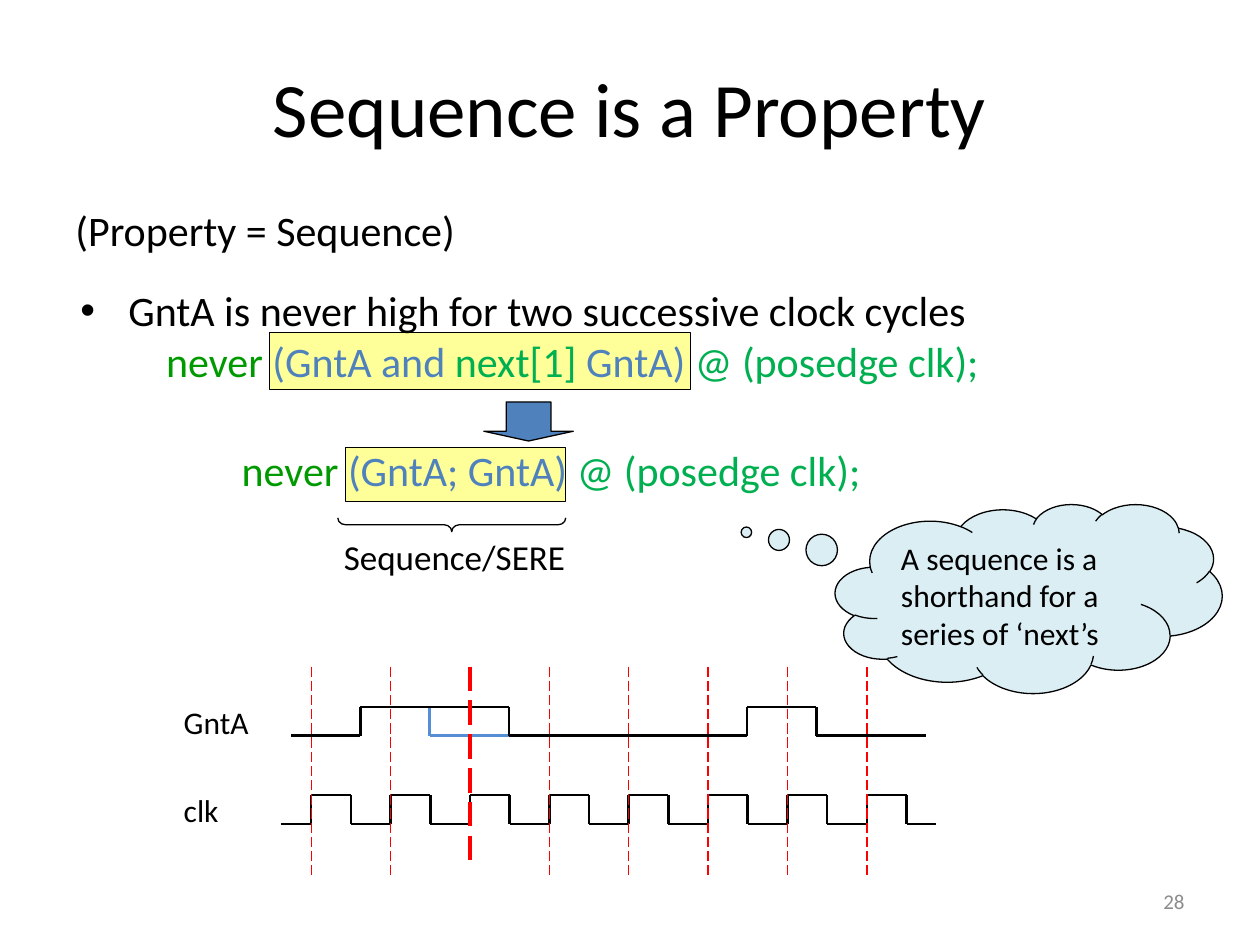
from typing import NamedTuple

from lxml import etree
from pptx import Presentation
from pptx.dml.color import RGBColor
from pptx.enum.dml import MSO_LINE
from pptx.enum.shapes import MSO_CONNECTOR, MSO_SHAPE
from pptx.enum.text import MSO_ANCHOR, PP_ALIGN
from pptx.oxml.ns import qn
from pptx.util import Inches, Pt

STRAIGHT = MSO_CONNECTOR.STRAIGHT
DASH = MSO_LINE.LONG_DASH
RECT, CLOUD = MSO_SHAPE.RECTANGLE, MSO_SHAPE.CLOUD_CALLOUT
ARROW, BRACE = MSO_SHAPE.DOWN_ARROW, MSO_SHAPE.RIGHT_BRACE
TOP, MIDDLE = MSO_ANCHOR.TOP, MSO_ANCHOR.MIDDLE
LEFT, CENTER, RIGHT = PP_ALIGN.LEFT, PP_ALIGN.CENTER, PP_ALIGN.RIGHT

FONT = "Calibri"
BLACK, RED, GRAY = "000000", "FF0000", "8C8C8C"
GREEN, LEAF = "009900", "00B050"
BLUE, SKY = "4F81BD", "558ED5"
YELLOW, PALE = "FFFF99", "DBEEF4"

TICK, STEP, COUNT, MARK = 2.47, 0.63, 8, 2


class Box(NamedTuple):
    x: float
    y: float
    w: float
    h: float


class Run(NamedTuple):
    text: str
    color: str = BLACK


class Para(NamedTuple):
    runs: list[Run]
    indent: float = 0
    before: float = 0
    bullet: bool = False


class Label(NamedTuple):
    box: Box
    text: str
    size: float
    color: str = BLACK
    align: PP_ALIGN = LEFT
    anchor: MSO_ANCHOR = TOP
    wrap: bool = True


def paint(color, code: str) -> None:
    color.rgb = RGBColor.from_string(code)


def write(frame, paras: list[Para], size: float, align=LEFT, anchor=TOP, wrap=True) -> None:
    frame.word_wrap = wrap
    frame.vertical_anchor = anchor
    for i, para in enumerate(paras):
        p = frame.paragraphs[0] if i == 0 else frame.add_paragraph()
        p.alignment = align
        p.space_before = Pt(para.before)
        props = p._p.get_or_add_pPr()
        props.set("marL", str(Inches(para.indent)))
        if para.bullet:
            props.set("indent", str(-Inches(para.indent)))
            etree.SubElement(props, qn("a:buFont")).set("typeface", "Arial")
            etree.SubElement(props, qn("a:buChar")).set("char", "•")
        for part in para.runs:
            run = p.add_run()
            run.text = part.text
            run.font.name, run.font.size = FONT, Pt(size)
            paint(run.font.color, part.color)


def add_text(slide, box: Box, paras: list[Para], size: float, **style) -> None:
    shape = slide.shapes.add_textbox(*map(Inches, box))
    write(shape.text_frame, paras, size, **style)


def add_label(slide, label: Label) -> None:
    add_text(slide, label.box, [Para([Run(label.text, label.color)])], label.size,
             align=label.align, anchor=label.anchor, wrap=label.wrap)


def add_shape(slide, kind, box: Box, fill: str = "", adjust=()):
    shape = slide.shapes.add_shape(kind, *map(Inches, box))
    shape.shadow.inherit = False
    for i, value in enumerate(adjust):
        shape.adjustments[i] = value
    if fill:
        shape.fill.solid()
        paint(shape.fill.fore_color, fill)
    else:
        shape.fill.background()
    paint(shape.line.color, BLACK)
    shape.line.width = Pt(0.75)
    return shape


def add_line(slide, start, end, color=BLACK, width=1.5, dash=None) -> None:
    line = slide.shapes.add_connector(STRAIGHT, *map(Inches, (*start, *end)))
    etree.SubElement(line._element.spPr, qn("a:effectLst"))
    paint(line.line.color, color)
    line.line.width = Pt(width)
    if dash:
        line.line.dash_style = dash


def add_wave(slide, points, color=BLACK) -> None:
    """Join successive points with straight segments."""
    for start, end in zip(points, points[1:]):
        add_line(slide, start, end, color)


def pulses(left, right, high, low, spans):
    """Return the corners of a signal that is high over each span."""
    points = [(left, low)]
    for rise, fall in spans:
        points += [(rise, low), (rise, high), (fall, high), (fall, low)]
    return points + [(right, low)]


def add_timing(slide) -> None:
    ticks = [TICK + STEP * i for i in range(COUNT)]
    clock = [(x, x + STEP / 2) for x in ticks]
    add_wave(slide, pulses(2.23, 7.43, 6.31, 6.54, clock))
    for i, x in enumerate(ticks):
        if i != MARK:
            add_line(slide, (x, 5.29), (x, 6.95), RED, 0.75, DASH)
    add_wave(slide, [(3.41, 5.61), (3.41, 5.84), (4.04, 5.84)], SKY)
    add_wave(slide, pulses(2.31, 7.35, 5.61, 5.84, [(2.86, 4.04), (5.93, 6.48)]))
    add_line(slide, (ticks[MARK], 5.29), (ticks[MARK], 6.87), RED, 1.75, DASH)


LABELS = [
    Label(Box(0.61, 0.4, 8.78, 0.9), "Sequence is a Property", 44, align=CENTER, anchor=MIDDLE),
    Label(Box(0.5, 1.57, 4.15, 0.59), "(Property = Sequence)", 24),
    Label(Box(2.63, 4.2, 1.98, 0.44), "Sequence/SERE", 20, wrap=False),
    Label(Box(1.36, 5.53, 0.77, 0.4), "GntA", 18, wrap=False),
    Label(Box(1.36, 6.23, 0.51, 0.4), "clk", 18, wrap=False),
    Label(Box(7.17, 6.95, 2.33, 0.4), "28", 12, GRAY, RIGHT, MIDDLE),
]

NEVER, EDGE = Run("never ", GREEN), Run("@ (posedge clk);", LEAF)
BODY = [
    Para([Run("GntA is never high for two successive clock cycles")], 0.38, bullet=True),
    Para([NEVER, Run("(GntA and ", BLUE), Run("next[1] ", LEAF), Run("GntA) ", BLUE), EDGE], 0.68),
    Para([NEVER, Run("(GntA; GntA) ", BLUE), EDGE], 1.28, before=34),
]


def main() -> None:
    deck = Presentation()
    deck.slide_width, deck.slide_height = Inches(10), Inches(7.5)
    slide = deck.slides.add_slide(deck.slide_layouts[6])

    for box in (Box(2.14, 2.64, 3.34, 0.45), Box(2.74, 3.55, 1.75, 0.43)):
        add_shape(slide, RECT, box, YELLOW)
    add_text(slide, Box(0.54, 2.21, 9, 2.58), BODY, 24)
    cloud = add_shape(slide, CLOUD, Box(6.63, 4, 3.07, 1.5), PALE, (-0.73, -0.35))
    note = "A sequence is a shorthand for a series of ‘next’s"
    write(cloud.text_frame, [Para([Run(note)])], 18)

    add_timing(slide)
    add_shape(slide, ARROW, Box(3.84, 3.19, 0.71, 0.31), BLUE, (0.5, 0.25))
    brace = add_shape(slide, BRACE, Box(3.53, 3.26, 0.11, 1.81), adjust=(0.55, 0.5))
    brace.rotation = 90
    for label in LABELS:
        add_label(slide, label)
    deck.save("out.pptx")


if __name__ == "__main__":
    main()
